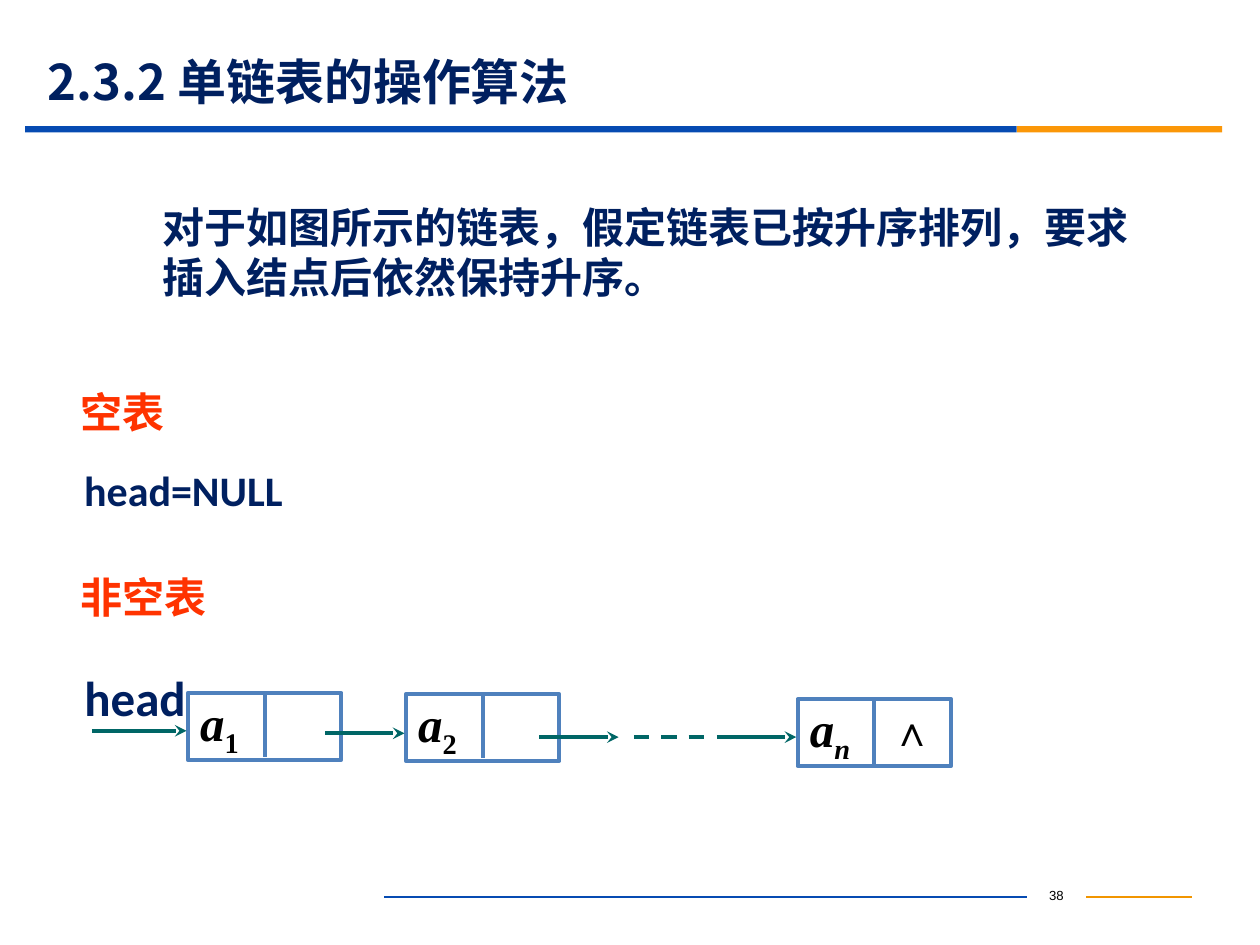
from lxml import etree
from pptx import Presentation
from pptx.dml.color import RGBColor
from pptx.enum import dml, shapes, text
from pptx.oxml.ns import qn
from pptx.util import Inches, Pt

NAVY = RGBColor(0x00, 0x20, 0x60)
BLUE = RGBColor(0x06, 0x4B, 0xB2)
AMBER = RGBColor(0xFB, 0x97, 0x08)
GOLD = RGBColor(0xF1, 0x95, 0x00)
TEAL = RGBColor(0x00, 0x66, 0x66)
STEEL = RGBColor(0x4F, 0x81, 0xBD)
RED = RGBColor(0xFF, 0x33, 0x00)
BLACK = RGBColor(0x00, 0x00, 0x00)
CJK = "Noto Sans CJK SC"
SERIF = "Times New Roman"
NODE_WIDTH, NODE_HEIGHT = 1.22, 0.53


def add_span(para, words, size, font, color, bold=True, italic=False, base=None):
    span = para.add_run()
    span.text = words
    span.font.size = Pt(size)
    span.font.bold = bold
    span.font.italic = italic
    span.font.name = font
    span.font.color.rgb = color
    properties = span.font._element
    etree.SubElement(properties, qn("a:ea")).set("typeface", CJK)
    if base:
        properties.set("baseline", str(base * 1000))


def set_frame(frame, insets=(0.1, 0.05, 0.1, 0.05), anchor=text.MSO_ANCHOR.TOP):
    frame.word_wrap = True
    frame.auto_size = text.MSO_AUTO_SIZE.NONE
    frame.vertical_anchor = anchor
    frame.margin_left, frame.margin_top, frame.margin_right, frame.margin_bottom = map(Inches, insets)


def add_text(page, place, words, size, font, color, bold=True,
             align=text.PP_ALIGN.LEFT, **frame_format):
    box = page.shapes.add_textbox(*map(Inches, place))
    set_frame(box.text_frame, **frame_format)
    para = box.text_frame.paragraphs[0]
    para.alignment = align
    add_span(para, words, size, font, color, bold)


def add_line(page, start, end, color, width=2.25, arrow=False, dashed=False):
    line = page.shapes.add_connector(
        shapes.MSO_CONNECTOR.STRAIGHT, *map(Inches, (*start, *end)))
    line.line.color.rgb = color
    line.line.width = Pt(width)
    if dashed:
        line.line.dash_style = dml.MSO_LINE.DASH
    if arrow:
        etree.SubElement(line.line._get_or_add_ln(), qn("a:tailEnd")).set("type", "stealth")
    etree.SubElement(line._element.spPr, qn("a:effectLst"))


def add_rectangle(page, place):
    box = page.shapes.add_shape(shapes.MSO_SHAPE.RECTANGLE, *map(Inches, place))
    box.shadow.inherit = False
    return box


def add_bar(page, left, width, color):
    bar = add_rectangle(page, (left, 1, width, 0.05))
    bar.fill.solid()
    bar.fill.fore_color.rgb = color
    bar.line.fill.background()


def add_node(page, left, top, index, italic=False):
    node = add_rectangle(page, (left, top, NODE_WIDTH, NODE_HEIGHT))
    node.fill.background()
    node.line.color.rgb = STEEL
    node.line.width = Pt(2.25)
    set_frame(node.text_frame, insets=(0.1, 0, 0, 0.08))
    para = node.text_frame.paragraphs[0]
    para.alignment = text.PP_ALIGN.LEFT
    para.line_spacing = 0.9
    add_span(para, "a", 28, SERIF, BLACK, italic=True)
    add_span(para, index, 28, SERIF, BLACK, italic=italic, base=-25)
    middle = left + NODE_WIDTH / 2
    add_line(page, (middle, top), (middle, top + 0.51), STEEL)


def add_title(page, words):
    title = page.shapes.title
    title.left, title.top, title.width, title.height = map(Inches, (0.28, 0.43, 9, 0.43))
    set_frame(title.text_frame, anchor=text.MSO_ANCHOR.MIDDLE)
    para = title.text_frame.paragraphs[0]
    para.alignment = text.PP_ALIGN.LEFT
    add_span(para, words, 28, CJK, NAVY)


def add_footer(page):
    add_text(page, (8.15, 6.99, 0.47, 0.25), "38", 7.5, "Arial", BLACK,
             bold=False, align=text.PP_ALIGN.CENTER)
    add_line(page, (8.62, 7.12), (9.46, 7.12), GOLD, 0.75)
    add_line(page, (3.05, 7.12), (8.15, 7.12), BLUE, 0.75)


def add_linked_list(page):
    add_text(page, (0.67, 5.3, 0.83, 0.51), "head", 28, "Calibri", NAVY,
             insets=(0, 0, 0, 0.04))
    for left, top, index in ((1.49, 5.5, "1"), (3.22, 5.51, "2"), (6.33, 5.55, "n")):
        add_node(page, left, top, index, italic=index == "n")
    for start, end, height in ((0.73, 1.48, 5.8), (2.58, 3.21, 5.82),
                               (4.28, 4.91, 5.85), (5.69, 6.32, 5.85)):
        add_line(page, (start, height), (end, height), TEAL, arrow=True)
    add_line(page, (5.03, 5.85), (5.65, 5.85), TEAL, dashed=True)
    add_text(page, (6.98, 5.54, 0.57, 0.49), "∧", 24, SERIF, BLACK,
             insets=(0.1, 0.05, 0.1, 0.04))


def main():
    deck = Presentation()
    deck.slide_width, deck.slide_height = Inches(10), Inches(7.5)
    page = deck.slides.add_slide(deck.slide_layouts[5])
    add_footer(page)
    add_bar(page, 0.2, 7.87, BLUE)
    add_bar(page, 8.07, 1.63, AMBER)
    add_title(page, "2.3.2 单链表的操作算法")
    add_linked_list(page)
    add_text(page, (0.54, 4.49, 2.67, 0.51), "非空表", 24, SERIF, RED)
    add_text(page, (0.57, 3.64, 2.67, 0.51), "head=NULL", 24, "Calibri", NAVY)
    add_text(page, (0.54, 3.02, 2.67, 0.51), "空表", 24, SERIF, RED)
    add_text(page, (1.19, 1.55, 8.18, 0.91),
             "对于如图所示的链表，假定链表已按升序排列，要求插入结点后依然保持升序。",
             24, CJK, NAVY)
    deck.save("out.pptx")


if __name__ == "__main__":
    main()
